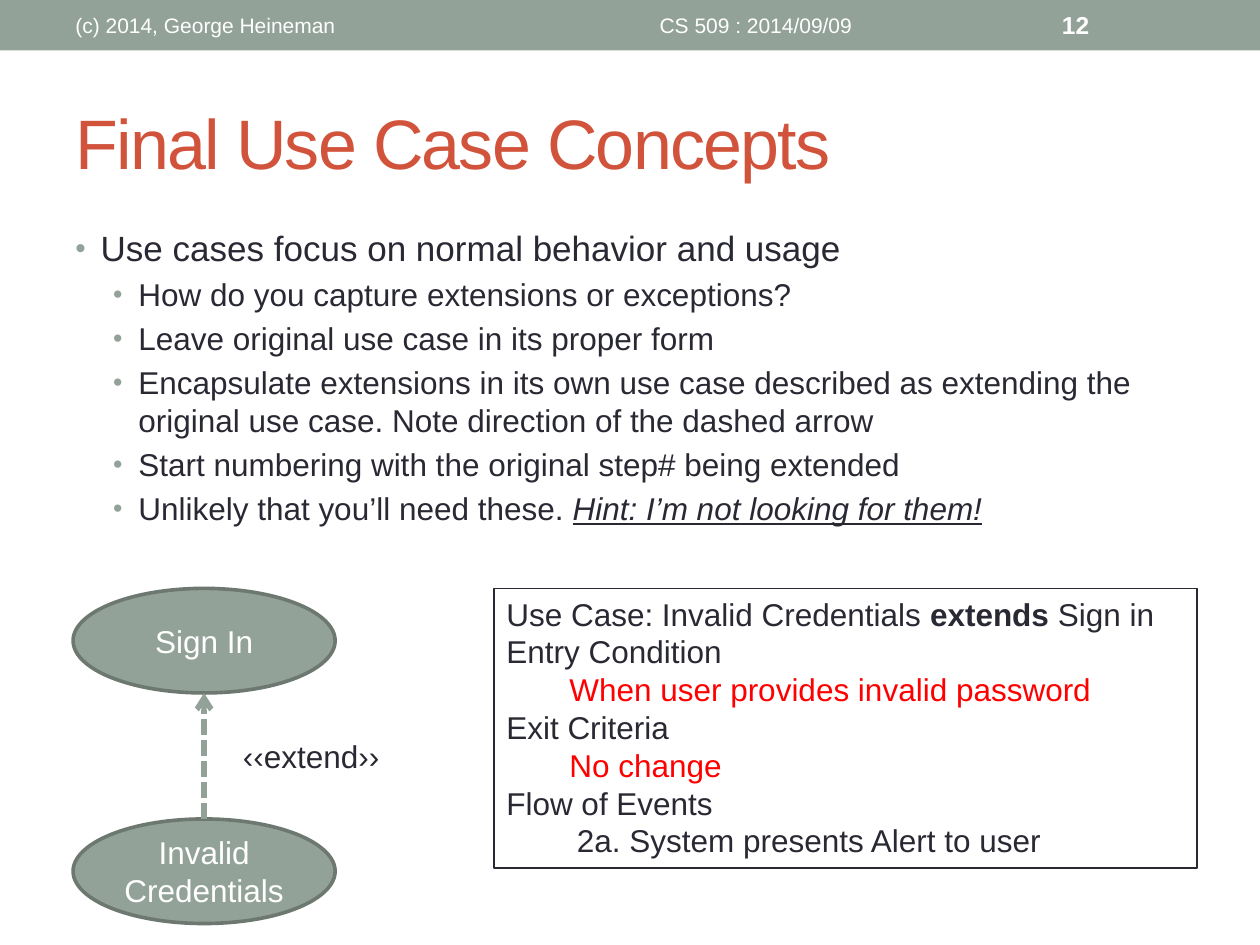
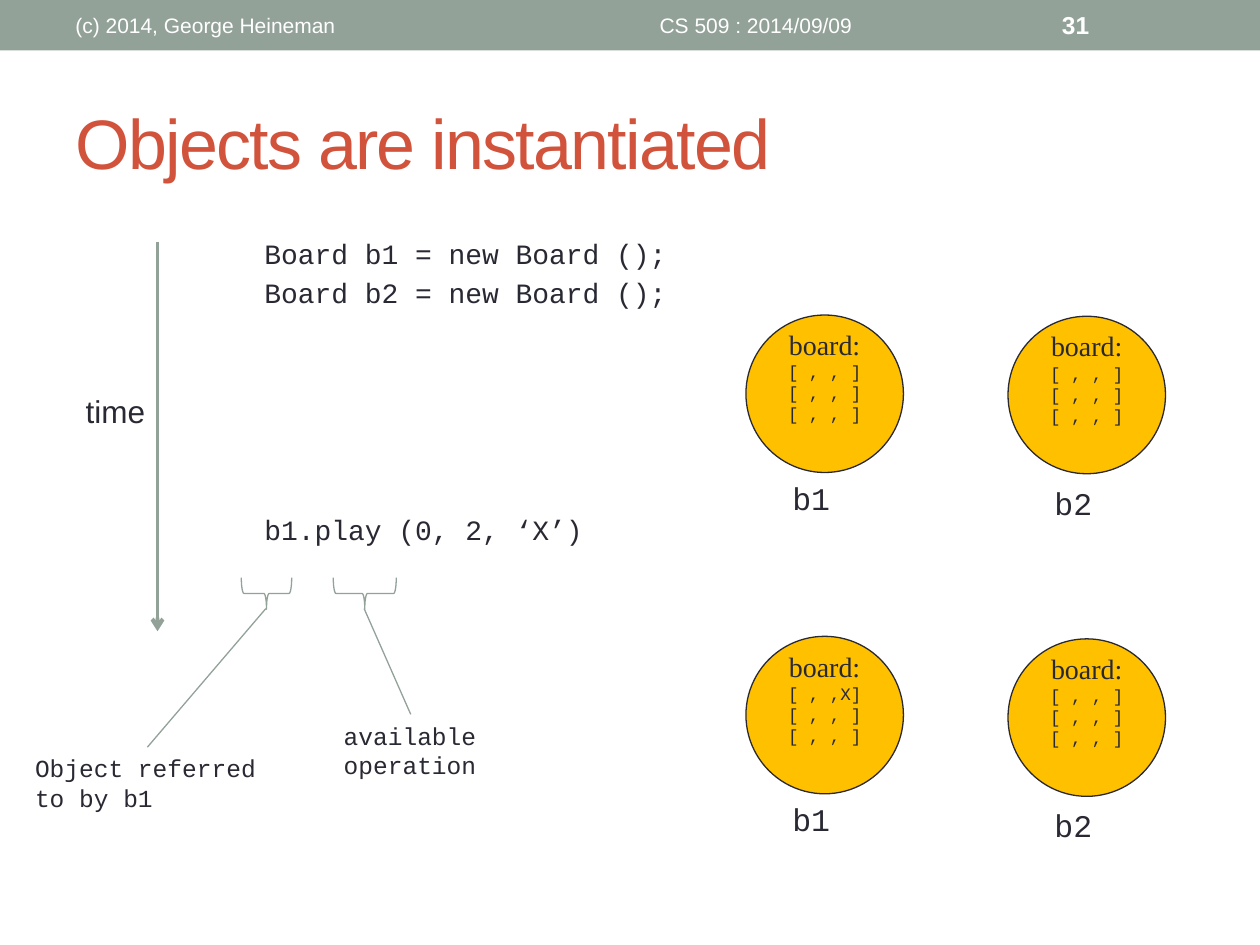
from typing import Any, NamedTuple, Optional

from lxml import etree
from pptx import Presentation
from pptx.dml.color import RGBColor
from pptx.enum.dml import MSO_LINE
from pptx.enum.shapes import MSO_CONNECTOR, MSO_SHAPE
from pptx.enum.text import MSO_ANCHOR, MSO_AUTO_SIZE, PP_ALIGN
from pptx.oxml.ns import qn
from pptx.util import Pt

PX = 9144  # 100 px to the inch
OVAL, RECT, BRACE = MSO_SHAPE.OVAL, MSO_SHAPE.RECTANGLE, MSO_SHAPE.RIGHT_BRACE
STRAIGHT, DASH = MSO_CONNECTOR.STRAIGHT, MSO_LINE.SQUARE_DOT
LEFT, MID, RIGHT = PP_ALIGN.LEFT, PP_ALIGN.CENTER, PP_ALIGN.RIGHT
TOP, MIDDLE = MSO_ANCHOR.TOP, MSO_ANCHOR.MIDDLE
FIXED, GROW = MSO_AUTO_SIZE.NONE, MSO_AUTO_SIZE.SHAPE_TO_FIT_TEXT

HUES = {
    "sage": "93A299", "moss": "6D7871", "ink": "292934", "rust": "D2533C",
    "red": "FF0000", "gold": "FFC000", "white": "FFFFFF",
}
SANS, CODE, SERIF = "Arial", "Courier New", "Times New Roman"


class Face(NamedTuple):
    size: int
    name: str = SANS
    hue: str = "ink"
    bold: bool = False
    italic: bool = False
    underline: bool = False


class Para(NamedTuple):
    runs: tuple[tuple[str, Face], ...]
    level: int = 0
    margin: int = 0
    hang: int = 0
    before: float = 0
    dot: bool = False


class Box(NamedTuple):
    left: int
    top: int
    wide: int
    high: int


class Line(NamedTuple):
    hue: str
    width: float


class Link(NamedTuple):
    start: tuple[int, int]
    end: tuple[int, int]
    width: float = 0.75
    arrow: bool = False
    dash: bool = False


class Board(NamedTuple):
    name: str
    left: int
    top: int
    drop: int
    first: str = "[ , , ]"


BODY = Face(18)
NOTE = Face(14, CODE)
FOOT = Face(12, hue="white")
THIN = Line("ink", 0.75)
TITLE = Box(50, 58, 900, 108)
DISC = 125


def color(hue: str) -> RGBColor:
    return RGBColor.from_string(HUES[hue])


def apply(target: Any, form: dict[str, Any]) -> None:
    for key, value in form.items():
        setattr(target, key, value)


def place(shape: Any, box: Box) -> None:
    for key, value in zip(("left", "top", "width", "height"), box):
        setattr(shape, key, value * PX)


def plain(face: Face, *lines: str) -> list[Para]:
    return [Para(((line, face),)) for line in lines]


def bullet(props: Any) -> None:
    tint = etree.SubElement(props, qn("a:buClr"))
    etree.SubElement(tint, qn("a:srgbClr"), val=HUES["sage"])
    etree.SubElement(props, qn("a:buSzPct"), val="85000")
    etree.SubElement(props, qn("a:buFont"), typeface=SANS)
    etree.SubElement(props, qn("a:buChar"), char="•")


def write(shape: Any, paras: list[Para], align: Any = LEFT, **frame: Any) -> None:
    """Fill a shape with paragraphs; frame holds text frame settings."""
    text = shape.text_frame
    apply(text, {"word_wrap": True, "auto_size": FIXED, "vertical_anchor": TOP} | frame)
    for count, para in enumerate(paras):
        item = text.add_paragraph() if count else text.paragraphs[0]
        apply(item, {"alignment": align, "level": para.level,
                     "space_before": Pt(para.before)})
        props = item._p.get_or_add_pPr()
        props.set("marL", str(para.margin * PX))
        props.set("indent", str(-para.hang * PX))
        if para.dot:
            bullet(props)
        for words, face in para.runs:
            run = item.add_run()
            run.text = words
            form = face._asdict()
            run.font.color.rgb = color(form.pop("hue"))
            apply(run.font, form | {"size": Pt(face.size)})


def draw(slide: Any, kind: Any, box: Box, fill: Optional[str] = None,
         line: Optional[Line] = None) -> Any:
    shape = slide.shapes.add_shape(kind, 0, 0, PX, PX)
    place(shape, box)
    shape.shadow.inherit = False
    if fill:
        shape.fill.solid()
        shape.fill.fore_color.rgb = color(fill)
    else:
        shape.fill.background()
    if line:
        shape.line.color.rgb = color(line.hue)
        shape.line.width = Pt(line.width)
    else:
        shape.line.fill.background()
    return shape


def label(slide: Any, box: Box, paras: list[Para], align: Any = LEFT,
          **frame: Any) -> None:
    shape = slide.shapes.add_textbox(0, 0, PX, PX)
    place(shape, box)
    write(shape, paras, align, **frame)


def tag(slide: Any, box: Box, face: Face, *lines: str) -> None:
    """Add a label that grows with its text and does not wrap."""
    label(slide, box, plain(face, *lines), word_wrap=False, auto_size=GROW)


def join(slide: Any, link: Link) -> None:
    ends = [value * PX for value in link.start + link.end]
    wire = slide.shapes.add_connector(STRAIGHT, *ends)
    wire.line.color.rgb = color("sage")
    wire.line.width = Pt(link.width)
    if link.dash:
        wire.line.dash_style = DASH
    if link.arrow:
        etree.SubElement(wire.line._get_or_add_ln(), qn("a:tailEnd"), type="arrow")
    etree.SubElement(wire._element.spPr, qn("a:effectLst"))


def start(deck: Any, title: str, page: int) -> Any:
    """Add a slide with its band, footers and title."""
    slide = deck.slides.add_slide(deck.slide_layouts[5])
    draw(slide, RECT, Box(0, 0, 1000, 40), "sage")
    for left, wide, words, face, align in (
        (50, 317, "(c) 2014, George Heineman", FOOT, LEFT),
        (375, 450, "CS 509 : 2014/09/09", FOOT, MID),
        (833, 117, str(page), Face(14, hue="white", bold=True), LEFT),
    ):
        label(slide, Box(left, 2, wide, 36), plain(face, words), align,
              vertical_anchor=MIDDLE)
    head = slide.shapes.title
    place(head, TITLE)
    write(head, plain(Face(40, hue="rust"), title), vertical_anchor=MIDDLE)
    for props in head._element.iter(qn("a:rPr")):
        props.set("spc", "-100")
    return slide


def concepts(deck: Any) -> None:
    slide = start(deck, "Final Use Case Concepts", 12)
    points = (
        (("How do you capture extensions or exceptions?", BODY),),
        (("Leave original use case in its proper form", BODY),),
        (("Encapsulate extensions in its own use case described as extending the "
          "original use case. Note direction of the dashed arrow", BODY),),
        (("Start numbering with the original step# being extended", BODY),),
        (("Unlikely that you’ll need these. ", BODY),
         ("Hint: I’m not looking for them!", Face(18, italic=True, underline=True))),
    )
    lead = (("Use cases focus on normal behavior and usage", Face(20)),)
    label(slide, Box(50, 175, 900, 275),
          [Para(lead, 0, 20, 20, 4, True)]
          + [Para(runs, 1, 50, 20, 3.6, True) for runs in points])

    for top, lines in ((467, ["Sign In"]), (650, ["Invalid", "Credentials"])):
        oval = draw(slide, OVAL, Box(58, top, 208, 83), "sage", Line("moss", 2.08))
        write(oval, plain(Face(18, hue="white"), *lines), MID, vertical_anchor=MIDDLE)
    join(slide, Link((162, 650), (162, 550), 3, arrow=True, dash=True))
    tag(slide, Box(183, 580, 130, 40), BODY, "‹‹extend››")

    alert = Face(18, hue="red")
    card = draw(slide, RECT, Box(392, 467, 558, 222), line=THIN)
    write(card, [
        Para((("Use Case: Invalid Credentials ", BODY),
              ("extends", Face(18, bold=True)), (" Sign in", BODY))),
        Para((("Entry Condition", BODY),)),
        Para((("When user provides invalid password", alert),), 1, 50),
        Para((("Exit Criteria", BODY),)),
        Para((("No change", alert),), 1, 50),
        Para((("Flow of Events", BODY),)),
        Para((("2a. System presents Alert to user", BODY),), 1, 56),
    ], auto_size=GROW)


def show(slide: Any, board: Board) -> None:
    """Draw a board object with its name below."""
    disc = draw(slide, OVAL, Box(board.left, board.top, DISC, DISC), "gold", THIN)
    rows = plain(Face(10, CODE), board.first, "[ , , ]", "[ , , ]")
    write(disc, plain(Face(16, SERIF), "board:") + rows, MID, word_wrap=False,
          vertical_anchor=MIDDLE, margin_top=0, margin_bottom=28 * PX)
    tag(slide, Box(board.left + 27, board.top + board.drop, 50, 40),
        Face(18, CODE), board.name)


def objects(deck: Any) -> None:
    slide = start(deck, "Objects are instantiated", 31)
    code = Face(16, CODE)
    label(slide, Box(200, 183, 717, 425), [
        Para(((words, code),), 0, 20, 20, before) for words, before in (
            ("Board b1 = new Board ();", 3.2),
            ("Board b2 = new Board ();", 3.2),
            ("b1.play (0, 2, ‘X’)", 116),
        )
    ])
    for board in (
        Board("b1", 592, 250, 125),
        Board("b2", 800, 251, 128),
        Board("b1", 592, 505, 125, "[ , ,X]"),
        Board("b2", 800, 507, 128),
    ):
        show(slide, board)

    for box in (Box(199, 451, 25, 40), Box(277, 446, 25, 50)):
        draw(slide, BRACE, box, line=Line("sage", 0.75)).rotation = 90
    tag(slide, Box(18, 593, 196, 57), NOTE, "Object referred", "to by b1")
    tag(slide, Box(263, 567, 126, 57), NOTE, "available", "operation")
    for link in (
        Link((117, 593), (211, 483)),
        Link((326, 567), (289, 483)),
        Link((125, 192), (125, 501), 2.25, arrow=True),
    ):
        join(slide, link)
    label(slide, Box(33, 306, 92, 40), plain(BODY, "time"), RIGHT, auto_size=GROW)


def main() -> None:
    deck = Presentation()
    apply(deck, {"slide_width": 1000 * PX, "slide_height": 750 * PX})
    concepts(deck)
    objects(deck)
    deck.save("out.pptx")


if __name__ == "__main__":
    main()
